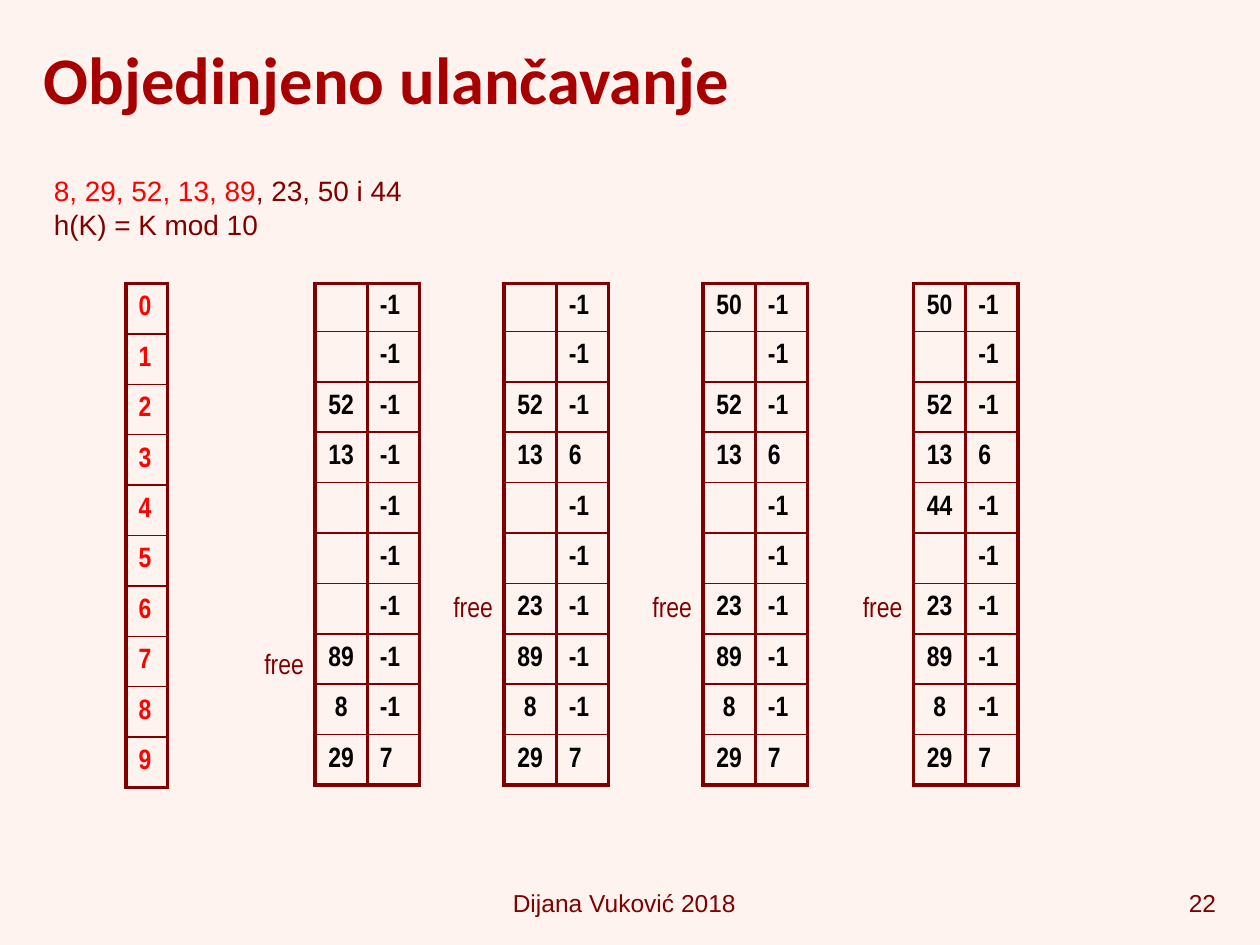
from dataclasses import dataclass

from lxml.etree import SubElement
from pptx import Presentation
from pptx.dml.color import RGBColor
from pptx.enum.text import MSO_ANCHOR as Anchor, PP_ALIGN as Align
from pptx.oxml.ns import qn
from pptx.util import Inches, Length, Pt


@dataclass(frozen=True)
class Theme:
    background: str = "FFF3EF"
    title: str = "A80000"
    maroon: str = "800000"
    red: str = "FF0000"
    black: str = "000000"
    heading_font: str = "Calibri"
    body_font: str = "Arial"
    table_font: str = "Arial Narrow"
    title_size: int = 38
    body_size: int = 16
    footer_size: int = 14
    thick: float = 2.25
    thin: float = 1


@dataclass(frozen=True)
class Style:
    font: str
    size: int
    color: str
    bold: bool = False


@dataclass(frozen=True)
class HashTable:
    """One state of the table; slots missing from `links` end their chain."""
    left: float
    keys: dict[int, int]
    links: dict[int, int]
    free_top: float


THEME = Theme()
TITLE = Style(THEME.heading_font, THEME.title_size, THEME.title, True)
BODY = Style(THEME.body_font, THEME.body_size, THEME.maroon)
FOOTER = Style(THEME.body_font, THEME.footer_size, THEME.maroon)
INDEX = Style(THEME.table_font, THEME.body_size, THEME.red, True)
ENTRY = Style(THEME.table_font, THEME.body_size, THEME.black, True)
FREE = Style(THEME.table_font, THEME.body_size, THEME.maroon)

SLOTS = 10
TABLE_TOP = 2.25
ROW_HEIGHT = Inches(0.4)
FIRST_ENTRY_HEIGHT = Inches(0.38)

FIRST_KEYS = {2: 52, 13 % SLOTS: 13, 7: 89, 8: 8, 9: 29}
WITH_23 = FIRST_KEYS | {6: 23}
WITH_50 = WITH_23 | {0: 50}
WITH_44 = WITH_50 | {4: 44}
FIRST_LINKS = {9: 7}
LATER_LINKS = FIRST_LINKS | {3: 6}

STATES = [
    HashTable(2.5, FIRST_KEYS, FIRST_LINKS, 5.08),
    HashTable(4, WITH_23, LATER_LINKS, 4.63),
    HashTable(5.58, WITH_50, LATER_LINKS, 4.63),
    HashTable(7.25, WITH_44, LATER_LINKS, 4.63),
]


def style_font(font, style: Style) -> None:
    font.name = style.font
    font.size = Pt(style.size)
    font.bold = style.bold
    font.color.rgb = RGBColor.from_string(style.color)


def add_text(page, left: float, top: float, width: float, height: float,
             lines: list[str], style: Style, align=Align.LEFT,
             anchor=Anchor.TOP, wrap: bool = True):
    box = page.shapes.add_textbox(Inches(left), Inches(top), Inches(width), Inches(height))
    frame = box.text_frame
    frame.word_wrap = wrap
    frame.vertical_anchor = anchor
    frame.text = "\n".join(lines)
    for para in frame.paragraphs:
        para.alignment = align
        style_font(para.font, style)
    return frame


def set_borders(cell, first: bool, last: bool) -> None:
    """Thick sides everywhere; thick top and bottom only on the outer edge."""
    widths = {
        "a:lnL": THEME.thick,
        "a:lnR": THEME.thick,
        "a:lnT": THEME.thick if first else THEME.thin,
        "a:lnB": THEME.thick if last else THEME.thin,
    }
    properties = cell._tc.get_or_add_tcPr()
    for position, (tag, width) in enumerate(widths.items()):
        line = SubElement(properties, qn(tag), w=str(Pt(width)))
        fill = SubElement(line, qn("a:solidFill"))
        SubElement(fill, qn("a:srgbClr"), val=THEME.maroon)
        properties.insert(position, line)


def add_grid(page, left: float, column_width: Length, rows: list[list[str]],
             aligns: list[Align], style: Style, first_height: Length) -> None:
    columns = len(aligns)
    table = page.shapes.add_table(
        len(rows), columns, Inches(left), Inches(TABLE_TOP),
        column_width * columns, first_height + ROW_HEIGHT * (len(rows) - 1)).table
    table.first_row = table.horz_banding = False
    for column in table.columns:
        column.width = column_width
    for number, values in enumerate(rows):
        table.rows[number].height = ROW_HEIGHT if number else first_height
        for column, (value, align) in enumerate(zip(values, aligns)):
            cell = table.cell(number, column)
            cell.fill.background()
            cell.vertical_anchor = Anchor.MIDDLE
            cell.text = value
            para = cell.text_frame.paragraphs[0]
            para.alignment = align
            style_font(para.font, style)
            set_borders(cell, number == 0, number == len(rows) - 1)


def add_hash_table(page, state: HashTable) -> None:
    rows = [[str(state.keys.get(slot, "")), str(state.links.get(slot, -1))]
            for slot in range(SLOTS)]
    add_grid(page, state.left, Inches(0.83) // 2, rows,
             [Align.CENTER, Align.LEFT], ENTRY, FIRST_ENTRY_HEIGHT)
    add_text(page, state.left - 0.5, state.free_top, 0.53, 0.37, ["free"], FREE, wrap=False)


def main() -> None:
    deck = Presentation()
    deck.slide_width, deck.slide_height = Inches(10), Inches(7.5)
    page = deck.slides.add_slide(deck.slide_layouts[6])
    page.background.fill.solid()
    page.background.fill.fore_color.rgb = RGBColor.from_string(THEME.background)

    add_text(page, 3.74, 7, 2.43, 0.33, ["Dijana Vuković 2018"], FOOTER, Align.CENTER)
    add_text(page, 7.75, 7, 2, 0.33, ["22"], FOOTER, Align.RIGHT)
    add_text(page, 0.25, 0.08, 9.5, 1.08, ["Objedinjeno ulančavanje"], TITLE,
             anchor=Anchor.MIDDLE)

    task = add_text(page, 0.33, 1.33, 5, 0.69,
                    ["8, 29, 52, 13, 89", "h(K) = K mod 10"], BODY)
    inserted = task.paragraphs[0].runs[0]
    inserted.font.color.rgb = RGBColor.from_string(THEME.red)
    remaining = task.paragraphs[0].add_run()
    remaining.text = ", 23, 50 i 44"

    add_grid(page, 1, Inches(0.33), [[str(slot)] for slot in range(SLOTS)],
             [Align.LEFT], INDEX, ROW_HEIGHT)
    for state in STATES:
        add_hash_table(page, state)

    deck.save("out.pptx")


if __name__ == "__main__":
    main()
